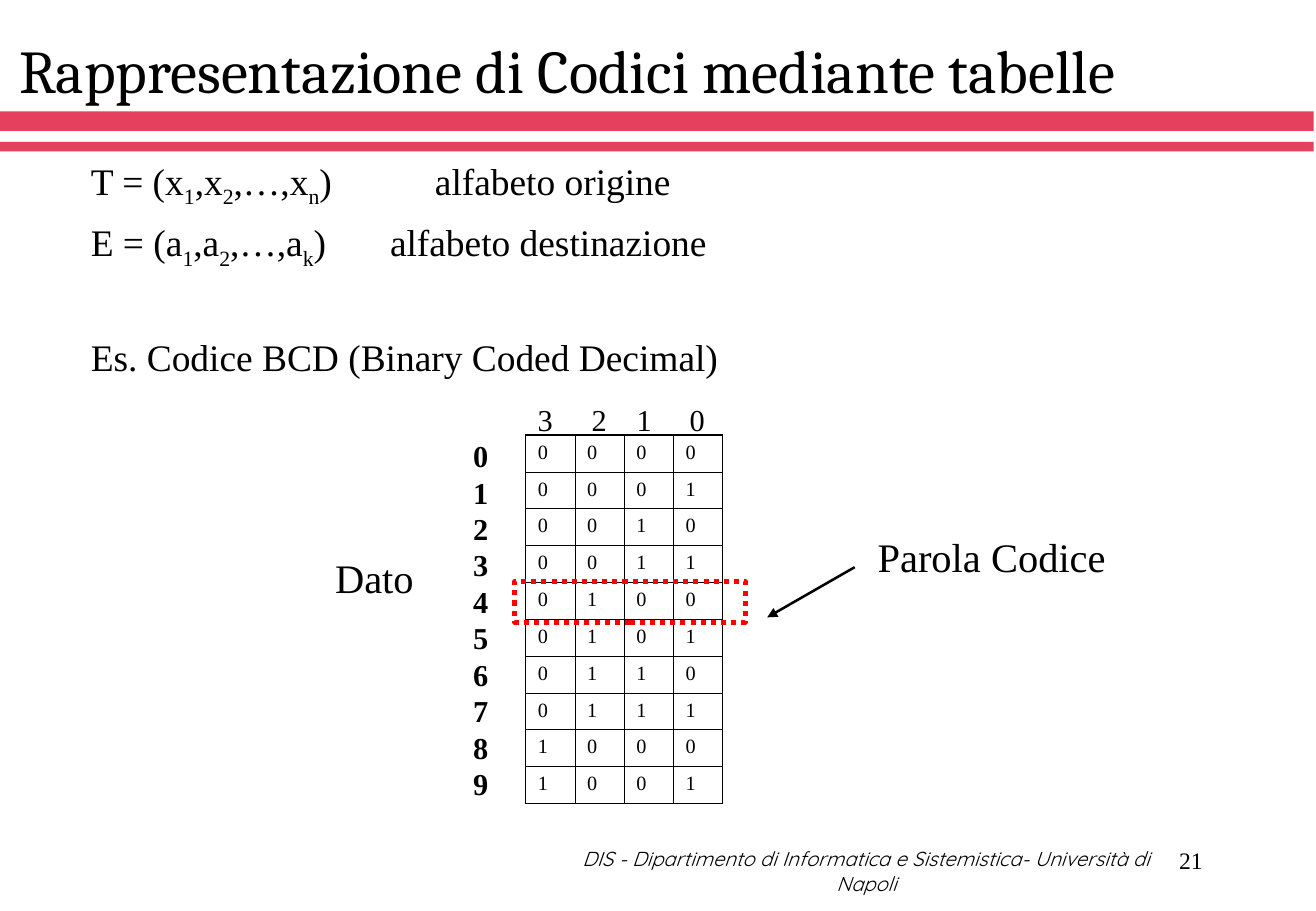
from dataclasses import dataclass

from lxml import etree
from pptx import Presentation
from pptx.dml.color import RGBColor
from pptx.enum.dml import MSO_LINE
from pptx.enum.shapes import MSO_CONNECTOR, MSO_SHAPE
from pptx.enum.text import MSO_ANCHOR, PP_ALIGN
from pptx.oxml.ns import qn
from pptx.util import Cm, Pt

RECT, STRAIGHT = MSO_SHAPE.RECTANGLE, MSO_CONNECTOR.STRAIGHT
TOP, MIDDLE, BOTTOM = MSO_ANCHOR.TOP, MSO_ANCHOR.MIDDLE, MSO_ANCHOR.BOTTOM
LEFT, CENTER, RIGHT = PP_ALIGN.LEFT, PP_ALIGN.CENTER, PP_ALIGN.RIGHT
DOTTED = MSO_LINE.ROUND_DOT


@dataclass(frozen=True)
class Theme:
    ink: str = "000000"
    band: str = "E5405D"
    mark: str = "FF0000"
    title_font: str = "Cambria"
    body_font: str = "Times New Roman"
    footer_font: str = "Quicksand"
    title: float = 36
    body: float = 22.2
    label: float = 24
    index: float = 18
    cell: float = 12
    footer: float = 12
    number: float = 14
    thin: float = 0.45
    thick: float = 1.08


T = Theme()

TITLE = "Rappresentazione di Codici mediante tabelle"
FOOTER = "DIS - Dipartimento di Informatica e Sistemistica- Università di Napoli"
PAGE = "21"
BANDS = [(2.33, 0.41), (2.97, 0.2)]
DEFINITIONS = [
    ([("T = (x", "1"), (",x", "2"), (",…,x", "n"), (")\talfabeto origine", "")], 0, 7.2),
    ([("E = (a", "1"), (",a", "2"), (",…,a", "k"), (")\talfabeto destinazione", "")], 6, 6.26),
    ([("Es. Codice BCD (Binary Coded Decimal)", "")], 37.5, None),
]
DIGITS = range(10)
CODES = [format(d, "04b") for d in DIGITS]
BIT_POSITIONS = "3\t2\t1\t0"
BIT_TABS = [1.13, 2.07, 3.18]
LABELS = [("Dato", 6.76, 11.43, 2.6), ("Parola Codice", 18.11, 11, 5.8)]
TABLE_LEFT, TABLE_TOP = 11, 9.1
COL_W, ROW_H = 1.03, 0.77
HIGHLIGHT = (10.77, 12.16, 4.82, 0.85)
ARROW = (17.88, 11.86, 16.05, 12.91)


def color(value):
    return RGBColor.from_string(value)


def set_font(target, size, name=T.body_font, bold=False, italic=False):
    f = target.font
    f.size, f.name, f.bold, f.italic = Pt(size), name, bold, italic
    f.color.rgb = color(T.ink)


def add_tabs(p, stops):
    tabs = etree.SubElement(p._p.get_or_add_pPr(), qn("a:tabLst"))
    for stop in stops:
        etree.SubElement(tabs, qn("a:tab"), pos=str(Cm(stop)), algn="l")


def add_box(s, x, y, w, h, anchor=TOP):
    tf = s.shapes.add_textbox(Cm(x), Cm(y), Cm(w), Cm(h)).text_frame
    tf.word_wrap = True
    tf.vertical_anchor = anchor
    return tf


def add_text(s, text, box, size, anchor=TOP, align=LEFT, tabs=(), **style):
    tf = add_box(s, *box, anchor)
    tf.text = text
    for p in tf.paragraphs:
        p.alignment = align
        if tabs:
            add_tabs(p, tabs)
        set_font(p, size, **style)


def add_definitions(s):
    tf = add_box(s, 1.65, 3.18, 24.38, 5.08)
    for i, (parts, before, tab) in enumerate(DEFINITIONS):
        p = tf.add_paragraph() if i else tf.paragraphs[0]
        p.space_before = Pt(before)
        if tab:
            add_tabs(p, [tab])
        set_font(p, T.body)
        for base, sub in parts:
            p.add_run().text = base
            if sub:
                r = p.add_run()
                r.text = sub
                r.font._element.set("baseline", "-25000")


def add_borders(cell, widths):
    tcPr = cell._tc.get_or_add_tcPr()
    for side, width in widths.items():
        ln = etree.SubElement(tcPr, qn("a:" + side), w=str(Pt(width)))
        fill = etree.SubElement(ln, qn("a:solidFill"))
        etree.SubElement(fill, qn("a:srgbClr"), val=T.ink)


def add_code_table(s):
    rows, cols = len(CODES), len(CODES[0])
    table = s.shapes.add_table(rows, cols, Cm(TABLE_LEFT), Cm(TABLE_TOP),
                               Cm(cols * COL_W), Cm(rows * ROW_H)).table
    table.first_row = table.horz_banding = False
    for col in table.columns:
        col.width = Cm(COL_W)
    for i, code in enumerate(CODES):
        table.rows[i].height = Cm(ROW_H)
        for j, bit in enumerate(code):
            cell = table.cell(i, j)
            cell.text = bit
            set_font(cell.text_frame.paragraphs[0], T.cell)
            add_borders(cell, {
                "lnL": T.thin,
                "lnR": T.thin,
                "lnT": T.thick if i == 0 else T.thin,
                "lnB": T.thick if i == rows - 1 else T.thin,
            })
            cell.fill.background()


def add_rect(s, x, y, w, h):
    sp = s.shapes.add_shape(RECT, Cm(x), Cm(y), Cm(w), Cm(h))
    sp.shadow.inherit = False
    return sp


def add_bands(s):
    for y, h in BANDS:
        sp = add_rect(s, 0, y, 27.48, h)
        sp.fill.solid()
        sp.fill.fore_color.rgb = color(T.band)
        sp.line.fill.background()


def add_highlight(s):
    sp = add_rect(s, *HIGHLIGHT)
    sp.fill.background()
    sp.line.color.rgb = color(T.mark)
    sp.line.width = Pt(3)
    sp.line.dash_style = DOTTED


def add_arrow(s):
    arrow = s.shapes.add_connector(STRAIGHT, *(Cm(v) for v in ARROW))
    arrow.line.color.rgb = color(T.ink)
    arrow.line.width = Pt(1.5)
    etree.SubElement(arrow.line._get_or_add_ln(), qn("a:tailEnd"), type="triangle")
    etree.SubElement(arrow._element.spPr, qn("a:effectLst"))


def main():
    prs = Presentation()
    prs.slide_width, prs.slide_height = Cm(27.53), Cm(19.05)
    s = prs.slides.add_slide(prs.slide_layouts[6])
    add_bands(s)
    add_text(s, FOOTER, (11.43, 17.83, 13.39, 0.76), T.footer, MIDDLE, CENTER,
             name=T.footer_font, italic=True)
    add_text(s, TITLE, (0.15, 0.64, 26.97, 1.7), T.title, BOTTOM, name=T.title_font)
    add_definitions(s)
    add_code_table(s)
    add_text(s, BIT_POSITIONS, (TABLE_LEFT, 8.26, 4.2, 1.02), T.index, tabs=BIT_TABS)
    add_text(s, "\n".join(map(str, DIGITS)), (9.65, 9.02, 0.95, 7.87), T.index, bold=True)
    add_highlight(s)
    for text, x, y, w in LABELS:
        add_text(s, text, (x, y, w, 1.27), T.label)
    add_arrow(s)
    add_text(s, PAGE, (19.69, 17.35, 5.72, 1.27), T.number, MIDDLE, RIGHT)
    prs.save("out.pptx")


if __name__ == "__main__":
    main()
